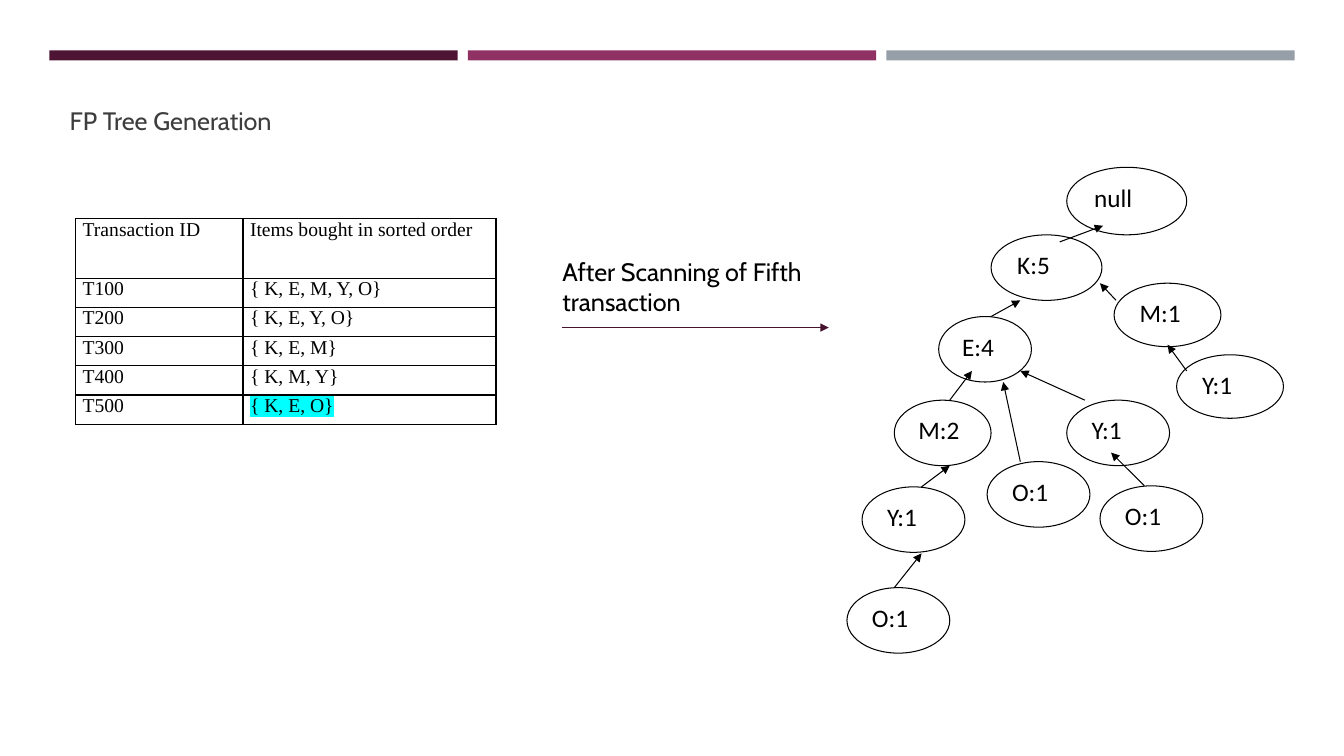
"""Build the FP tree slide: transaction table, scan arrow and tree."""
from pptx import Presentation
from pptx import util as u
from pptx.dml.color import RGBColor
from pptx.enum import shapes, text
from pptx.oxml import parse_xml
from pptx.oxml.ns import nsdecls

BARS = ["4D1434", "903163", "969FA7"]
ROWS = [
    ("Transaction ID", "Items bought in sorted order"),
    ("T100", "{ K, E, M, Y, O}"),
    ("T200", "{ K, E, Y, O}"),
    ("T300", "{ K, E, M}"),
    ("T400", "{ K, M, Y}"),
    ("T500", "{ K, E, O}"),
]
COLUMN_WIDTHS = [1.66, 2.51]
ROW_HEIGHTS = [0.59] + [0.29] * 5
NODES = [
    ("M:1", 11.05, 2.81, 1.06, 0.63),
    ("Y:1", 11.67, 3.52, 1.06, 0.63),
    ("null", 10.58, 1.66, 1.19, 0.67),
    ("K:5", 9.83, 2.33, 1.1, 0.65),
    ("E:4", 9.31, 3.14, 0.92, 0.65),
    ("M:2", 8.87, 3.97, 0.96, 0.65),
    ("Y:1", 8.55, 4.83, 1.02, 0.65),
    ("O:1", 8.4, 5.83, 1.02, 0.65),
    ("Y:1", 10.58, 3.97, 1.02, 0.65),
    ("O:1", 10.91, 4.82, 1.02, 0.65),
    ("O:1", 9.79, 4.58, 1.02, 0.65),
]
BRANCHES = [
    (11.77, 3.68, 11.58, 3.42),
    (11.07, 2.98, 10.91, 2.81),
    (10.51, 2.4, 10.94, 2.24),
    (9.83, 3.14, 10.12, 2.98),
    (9.42, 3.97, 9.64, 3.68),
    (9.14, 4.83, 9.42, 4.62),
    (8.87, 5.83, 9.14, 5.49),
    (11.35, 4.82, 11.02, 4.49),
    (10.76, 3.97, 10.12, 3.68),
    (10.12, 4.58, 9.95, 3.79),
]


def color(value):
    return RGBColor.from_string(value)


def inches(*values):
    return [u.Inches(value) for value in values]


def write(frame, words, font="Calibri", size=18, ink="000000", after=0, mark=None):
    frame.word_wrap = True
    frame.vertical_anchor = text.MSO_ANCHOR.TOP
    para = frame.paragraphs[0]
    para.alignment = text.PP_ALIGN.LEFT
    para.space_after = u.Pt(after)
    span = para.add_run()
    span.text = words
    span.font.name, span.font.size = font, u.Pt(size)
    span.font.color.rgb = color(ink)
    if mark:
        highlight = parse_xml(
            f'<a:highlight {nsdecls("a")}><a:srgbClr val="{mark}"/></a:highlight>')
        span.font.fill._xPr.solidFill.addnext(highlight)


def add_shape(page, kind, place, fill, line=None):
    shape = page.shapes.add_shape(kind, *inches(*place))
    shape.shadow.inherit = False
    shape.fill.solid()
    shape.fill.fore_color.rgb = color(fill)
    if line:
        shape.line.color.rgb = color(line)
        shape.line.width = u.Pt(0.75)
    else:
        shape.line.fill.background()
    return shape


def add_arrow(page, ends, ink="000000", width=0.75):
    arrow = page.shapes.add_connector(shapes.MSO_CONNECTOR.STRAIGHT, *inches(*ends))
    arrow.line.color.rgb = color(ink)
    arrow.line.width = u.Pt(width)
    arrow.line._get_or_add_ln().append(
        parse_xml(f'<a:tailEnd {nsdecls("a")} type="triangle"/>'))
    arrow._element.spPr.append(parse_xml(f'<a:effectLst {nsdecls("a")}/>'))


def add_borders(cell):
    properties = cell._tc.get_or_add_tcPr()
    for position, side in enumerate("LRTB"):
        properties.insert(position, parse_xml(
            f'<a:ln{side} {nsdecls("a")} w="12700"><a:solidFill>'
            f'<a:srgbClr val="000000"/></a:solidFill></a:ln{side}>'))


def add_transactions(page):
    place = inches(0.75, 2.17, sum(COLUMN_WIDTHS), sum(ROW_HEIGHTS))
    table = page.shapes.add_table(len(ROWS), len(COLUMN_WIDTHS), *place).table
    table.first_row = table.horz_banding = False
    for column, width in zip(table.columns, COLUMN_WIDTHS):
        column.width = u.Inches(width)
    for row, height, entries in zip(table.rows, ROW_HEIGHTS, ROWS):
        row.height = u.Inches(height)
        for cell, words in zip(row.cells, entries):
            cell.margin_left = cell.margin_right = u.Inches(0.07)
            cell.margin_top = cell.margin_bottom = 0
            cell.fill.background()
            add_borders(cell)
            mark = "00FFFF" if words == ROWS[-1][1] else None
            write(cell.text_frame, words, font="Times New Roman", size=14, mark=mark)


def main():
    deck = Presentation()
    deck.slide_width, deck.slide_height = inches(13.33, 7.5)
    page = deck.slides.add_slide(deck.slide_layouts[5])

    for index, fill in enumerate(BARS):
        add_shape(page, shapes.MSO_SHAPE.RECTANGLE,
                  (0.49 + 4.15 * index, 0.5, 4.05, 0.1), fill)

    title = page.shapes.title
    title.left, title.top, title.width, title.height = inches(0.59, 0.99, 4.1, 1.33)
    title.text_frame.auto_size = text.MSO_AUTO_SIZE.NONE
    write(title.text_frame, "FP Tree Generation", font="Cabin", ink="3D3D3D", after=6)

    add_transactions(page)
    add_arrow(page, (5.57, 3.25, 8.22, 3.25), ink="45122F", width=1)
    box = page.shapes.add_textbox(*inches(5.48, 2.49, 3.09, 0.71))
    write(box.text_frame, "After Scanning of Fifth transaction", font="Cabin")

    for label, *place in NODES:
        node = add_shape(page, shapes.MSO_SHAPE.OVAL, place, "FFFFFF", line="000000")
        write(node.text_frame, label, after=10)
    for ends in BRANCHES:
        add_arrow(page, ends)

    deck.save("out.pptx")


if __name__ == "__main__":
    main()
